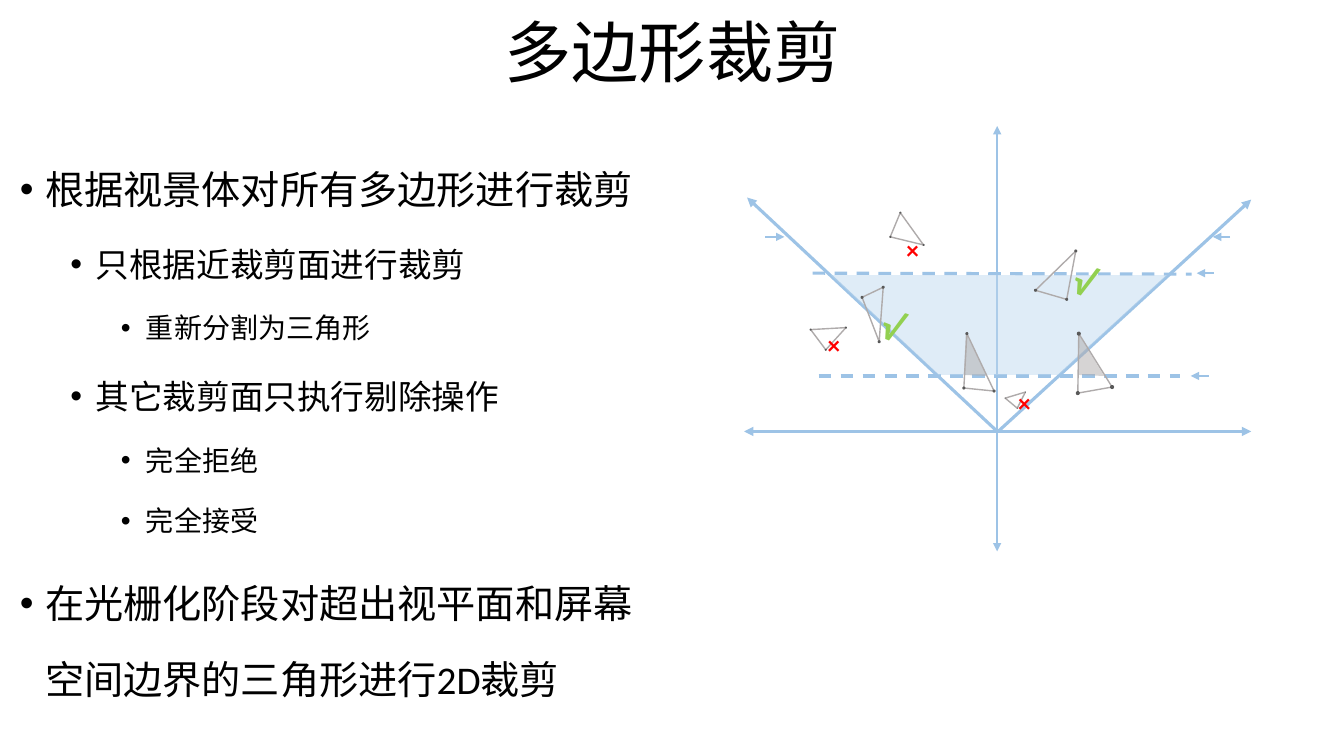
from pptx import Presentation
from pptx.dml.color import RGBColor
from pptx.enum.dml import MSO_LINE
from pptx.enum.shapes import MSO_CONNECTOR, MSO_SHAPE
from pptx.enum.text import MSO_ANCHOR, MSO_AUTO_SIZE, PP_ALIGN
from pptx.oxml.ns import qn
from pptx.util import Pt
from lxml.etree import SubElement

PIXEL = 9144

TITLE = "多边形裁剪"
BULLETS = [
    (0, "根据视景体对所有多边形进行裁剪"),
    (1, "只根据近裁剪面进行裁剪"),
    (2, "重新分割为三角形"),
    (1, "其它裁剪面只执行剔除操作"),
    (2, "完全拒绝"),
    (2, "完全接受"),
    (0, "在光栅化阶段对超出视平面和屏幕空间边界的三角形进行2D裁剪"),
]
LEVEL_SIZES = [28, 24, 20]
LEVEL_SPACES = [10, 5, 5]

BLUE = "9DC3E6"
GRAY = "AFABAB"

LINES = [
    ((0, 303), (503, 303), 2.25, ("headEnd", "tailEnd"), False),
    ((251, 0), (251, 422), 1.5, ("headEnd", "tailEnd"), False),
    ((503, 73), (252, 303), 2.25, ("headEnd",), False),
    ((3, 71), (250, 302), 2.25, ("headEnd",), False),
    ((74, 248), (432, 248), 2.25, (), True),
    ((68, 146), (444, 147), 2.25, (), True),
    ((461, 248), (443, 248), 1.5, ("tailEnd",), False),
    ((466, 146), (449, 146), 1.5, ("tailEnd",), False),
    ((482, 110), (465, 110), 1.5, ("tailEnd",), False),
    ((21, 110), (40, 110), 1.5, ("tailEnd",), False),
]
FILLED_REGIONS = [
    ([(420, 148), (312, 247), (193, 247), (86, 148)], "BDD7EE", 47),
    ([(218, 247), (220, 206), (241, 248)], GRAY, 50),
    ([(332, 247), (332, 207), (357, 248)], GRAY, 50),
]
TRIANGLES = [
    ([(66, 202), (101, 200), (81, 222)], 2),
    ([(155, 86), (178, 118), (145, 110)], 2),
    ([(289, 163), (329, 124), (320, 172)], 3),
    ([(259, 270), (279, 264), (271, 280)], 1),
    ([(331, 265), (332, 206), (365, 259)], 4),
    ([(218, 260), (221, 206), (248, 263)], 3),
    ([(138, 160), (134, 214), (117, 170)], 3),
]
CROSS = {"text": "×", "size": 18, "color": "FF0000", "width": 22, "height": 27, "rotation": 0}
CHECK = {"text": "√", "size": 28, "color": "92D050", "width": 23, "height": 38, "rotation": 21.7}
MARKS = [
    (CROSS, 73, 197), (CROSS, 262, 254), (CROSS, 151, 103),
    (CHECK, 132, 167), (CHECK, 322, 123),
]


def px(value):
    return round(value * PIXEL)


def color(value):
    return RGBColor.from_string(value)


def apply(target, values):
    for name, value in values.items():
        setattr(target, name, value)


def add_text_box(slide, box, frame_format):
    shape = slide.shapes.add_textbox(*map(px, box))
    apply(shape.text_frame, {"word_wrap": True, **frame_format})
    return shape


def add_run(paragraph, text, size, text_color="000000", bold=False):
    run = paragraph.add_run()
    run.text = text
    apply(run.font, {"name": "Calibri", "size": Pt(size), "bold": bold})
    run.font.color.rgb = color(text_color)


def add_title(slide, box):
    shape = add_text_box(slide, box, {"vertical_anchor": MSO_ANCHOR.BOTTOM})
    paragraph = shape.text_frame.paragraphs[0]
    apply(paragraph, {"alignment": PP_ALIGN.CENTER, "line_spacing": 0.9})
    add_run(paragraph, TITLE, 48)


def add_bullets(slide, box):
    frame = add_text_box(slide, box, {"vertical_anchor": MSO_ANCHOR.TOP}).text_frame
    for index, (level, text) in enumerate(BULLETS):
        paragraph = frame.add_paragraph() if index else frame.paragraphs[0]
        properties = paragraph._p.get_or_add_pPr()
        properties.set("marL", str(px(25 + 50 * level)))
        properties.set("indent", str(px(-25)))
        SubElement(properties, qn("a:buFont")).set("typeface", "Arial")
        SubElement(properties, qn("a:buChar")).set("char", "•")
        space = LEVEL_SPACES[level] if index else 0
        apply(paragraph, {"level": level, "line_spacing": 1.6, "space_before": Pt(space)})
        add_run(paragraph, text, LEVEL_SIZES[level])


def add_line(slide, start, end, width, arrows, dashed):
    connector = slide.shapes.add_connector(MSO_CONNECTOR.STRAIGHT, *map(px, start + end))
    connector.line.color.rgb = color(BLUE)
    connector.line.width = Pt(width)
    if dashed:
        connector.line.dash_style = MSO_LINE.DASH
    outline = connector.line._get_or_add_ln()
    for arrow in arrows:
        SubElement(outline, qn(f"a:{arrow}")).set("type", "triangle")
    SubElement(connector._element.spPr, qn("a:effectLst"))


def add_polygon(slide, points):
    builder = slide.shapes.build_freeform(*points[0], scale=PIXEL)
    builder.add_line_segments(points[1:], close=True)
    shape = builder.convert_to_shape()
    shape.shadow.inherit = False
    return shape


def add_region(slide, points, fill_color, opacity):
    shape = add_polygon(slide, points)
    shape.fill.solid()
    shape.fill.fore_color.rgb = color(fill_color)
    fill = shape._element.spPr.find(qn("a:solidFill"))
    SubElement(fill[0], qn("a:alpha")).set("val", str(opacity * 1000))
    shape.line.fill.background()


def add_triangle(slide, points, dot_size):
    triangle = add_polygon(slide, points)
    triangle.fill.background()
    triangle.line.color.rgb = color(GRAY)
    triangle.line.width = Pt(1)
    for x, y in points:
        corner = (x - dot_size / 2, y - dot_size / 2, dot_size, dot_size)
        dot = slide.shapes.add_shape(MSO_SHAPE.FLOWCHART_CONNECTOR, *map(px, corner))
        dot.shadow.inherit = False
        dot.fill.solid()
        dot.fill.fore_color.rgb = color("595959")
        dot.line.fill.background()


def add_mark(slide, mark, left, top):
    box = (left, top, mark["width"], mark["height"])
    shape = add_text_box(slide, box, {"auto_size": MSO_AUTO_SIZE.SHAPE_TO_FIT_TEXT})
    shape.rotation = mark["rotation"]
    add_run(shape.text_frame.paragraphs[0], mark["text"], mark["size"], mark["color"], True)


def add_clipping_diagram(slide, box):
    left, top = box[:2]

    def place(point):
        return left + point[0], top + point[1]

    for start, end, width, arrows, dashed in LINES:
        add_line(slide, place(start), place(end), width, arrows, dashed)
    for points, fill_color, opacity in FILLED_REGIONS:
        add_region(slide, [place(point) for point in points], fill_color, opacity)
    for points, dot_size in TRIANGLES:
        add_triangle(slide, [place(point) for point in points], dot_size)
    for mark, x, y in MARKS:
        add_mark(slide, mark, *place((x, y)))


def main():
    presentation = Presentation()
    apply(presentation, {"slide_width": px(1333), "slide_height": px(750)})
    slide = presentation.slides.add_slide(presentation.slide_layouts[6])
    add_title(slide, (92, 0, 1150, 96))
    add_clipping_diagram(slide, (738, 125, 503, 422))
    add_bullets(slide, (10, 131, 633, 586))
    presentation.save("out.pptx")


if __name__ == "__main__":
    main()
